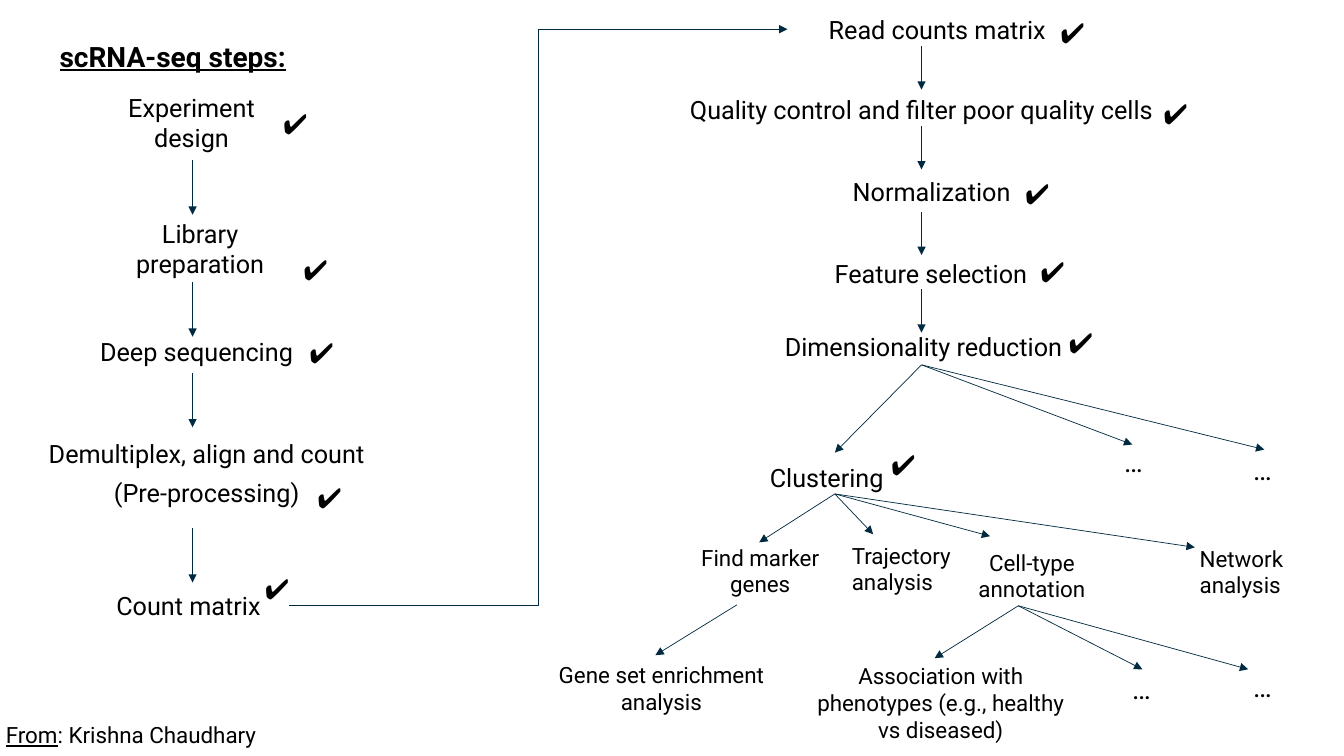
"""Build the scRNA-seq workflow slide: wet-lab steps on the left, analysis tree on the right."""
import pptx
import pptx.dml.color
import pptx.enum.shapes
import pptx.enum.text
import pptx.oxml
import pptx.oxml.ns
import pptx.util

Inches, Pt = pptx.util.Inches, pptx.util.Pt
RGB = pptx.dml.color.RGBColor.from_string
LEFT, CENTER = pptx.enum.text.PP_ALIGN.LEFT, pptx.enum.text.PP_ALIGN.CENTER
STRAIGHT = pptx.enum.shapes.MSO_CONNECTOR.STRAIGHT
ELBOW = pptx.enum.shapes.MSO_CONNECTOR.ELBOW


class Theme:
    font = "Roboto"
    text, line = RGB("000000"), RGB("002A40")
    heading, step, branch, mark = Pt(20), Pt(18), Pt(16), Pt(20)
    line_width = Pt(0.5)


def put_text(sp, lines, box, size, align=CENTER, wrap=True):
    sp.left, sp.top, sp.width, sp.height = [Inches(v) for v in box]
    tf = sp.text_frame
    tf.text = lines
    tf.word_wrap = wrap
    tf.auto_size = pptx.enum.text.MSO_AUTO_SIZE.NONE
    tf.vertical_anchor = pptx.enum.text.MSO_ANCHOR.MIDDLE
    for p in tf.paragraphs:
        p.alignment = align
        p.space_after = Pt(6)
        p.font.name, p.font.size = Theme.font, size
        p.font.color.rgb = Theme.text
    return tf.paragraphs[0]


def add_arrow(start, end, kind=STRAIGHT):
    ends = [Inches(v) for v in (*start, *end)]
    cxn = s.shapes.add_connector(kind, *ends)
    cxn.line.color.rgb = Theme.line
    cxn.line.width = Theme.line_width
    ns = pptx.oxml.ns.nsdecls("a")
    cxn.line._get_or_add_ln().append(pptx.oxml.parse_xml(f'<a:tailEnd {ns} type="triangle"/>'))
    cxn._element.spPr.append(pptx.oxml.parse_xml(f"<a:effectLst {ns}/>"))


prs = pptx.Presentation()
prs.slide_width, prs.slide_height = Inches(13.33), Inches(7.5)
s = prs.slides.add_slide(prs.slide_layouts[5])

p = put_text(s.shapes.title, "scRNA-seq steps:", (0.49, 0.32, 3.76, 0.47), Theme.heading, LEFT)
p.font.bold = p.font.underline = True

wrapped_steps = [
    ("Experiment design", (0.9, 0.97, 2, 0.49)),
    ("Library preparation", (1.16, 2.22, 1.65, 0.49)),
]
single_line_steps = [
    ("Deep sequencing", (0.65, 2.99, 2.6, 1)),
    ("Demultiplex, align and count\n(Pre-processing)", (0.75, 4.19, 2.6, 1)),
    ("Count matrix", (0.57, 5.51, 2.6, 1)),
    ("Quality control and filter poor quality cells", (8.05, 0.59, 2.18, 1)),
    ("Normalization", (8.15, 1.4, 2.18, 1)),
    ("Dimensionality reduction", (8.07, 2.94, 2.18, 1)),
    ("Clustering", (7.11, 4.24, 2.18, 1)),
]
left_aligned_steps = [
    ("Read counts matrix", (8.12, -0.21, 2.18, 1)),
    ("Feature selection", (8.18, 2.21, 2.18, 1)),
]
centered_branches = [
    ("Find marker genes", (6.63, 5.35, 1.82, 0.62)),
    ("Cell-type annotation", (9.51, 5.51, 1.45, 0.4)),
    ("Gene set enrichment analysis", (5.2, 6.33, 2.72, 1)),
    ("Association with phenotypes (e.g., healthy vs diseased)", (7.97, 6.47, 2.72, 1)),
]
left_aligned_branches = [
    ("Trajectory analysis", (8.35, 5.44, 1.55, 0.4)),
    ("Network analysis", (11.8, 5.17, 1.46, 1)),
]
check_marks = [("✔️", (x, y, 1, 1)) for x, y in
               [(2.71, 0.72), (2.91, 2.17), (2.97, 3), (3.05, 4.43), (2.53, 5.34)]]
check_marks += [("✔️", (x, y, 1, 0.56)) for x, y in
                [(10.42, 0.04), (11.44, 0.84), (10.07, 1.64), (10.22, 2.41),
                 (10.5, 3.12), (8.74, 4.33)]]
more_branches = [("…", (x, y, 0.8, 0.4)) for x, y in
                 [(11.05, 4.38), (12.33, 4.46), (11.13, 6.63), (12.33, 6.61)]]

for labels, size, align, wrap in [
    (wrapped_steps, Theme.step, CENTER, True),
    (single_line_steps, Theme.step, CENTER, False),
    (left_aligned_steps, Theme.step, LEFT, False),
    (centered_branches, Theme.branch, CENTER, True),
    (left_aligned_branches, Theme.branch, LEFT, True),
    (check_marks, Theme.mark, LEFT, False),
    (more_branches, Theme.mark, LEFT, True),
]:
    for label, box in labels:
        put_text(s.shapes.add_textbox(0, 0, 0, 0), label, box, size, align, wrap)

p = put_text(s.shapes.add_textbox(0, 0, 0, 0), "From", (-0.04, 6.79, 1, 1),
             Theme.branch, LEFT, False)
p.runs[0].font.underline = True
r = p.add_run()
r.text = ": Krishna Chaudhary"

for x, length, tops in [(1.91, 0.54, (1.59, 2.8, 3.7, 5.24)),
                        (9.14, 0.43, (0.46, 1.25, 2.1, 2.87))]:
    for top in tops:
        add_arrow((x, top), (x, top + length))

fans = {
    (9.14, 3.62): [(8.28, 4.49), (11.23, 4.41), (12.54, 4.46)],
    (8.28, 4.9): [(7.53, 5.38), (8.66, 5.3), (9.82, 5.32), (11.85, 5.43)],
    (10.1, 6.01): [(9.27, 6.53), (11.33, 6.64), (12.38, 6.64)],
    (7.31, 6): [(6.5, 6.5)],
}
for start, targets in fans.items():
    for end in targets:
        add_arrow(start, end)

add_arrow((2.87, 6.01), (7.81, 0.29), ELBOW)

prs.save("out.pptx")
